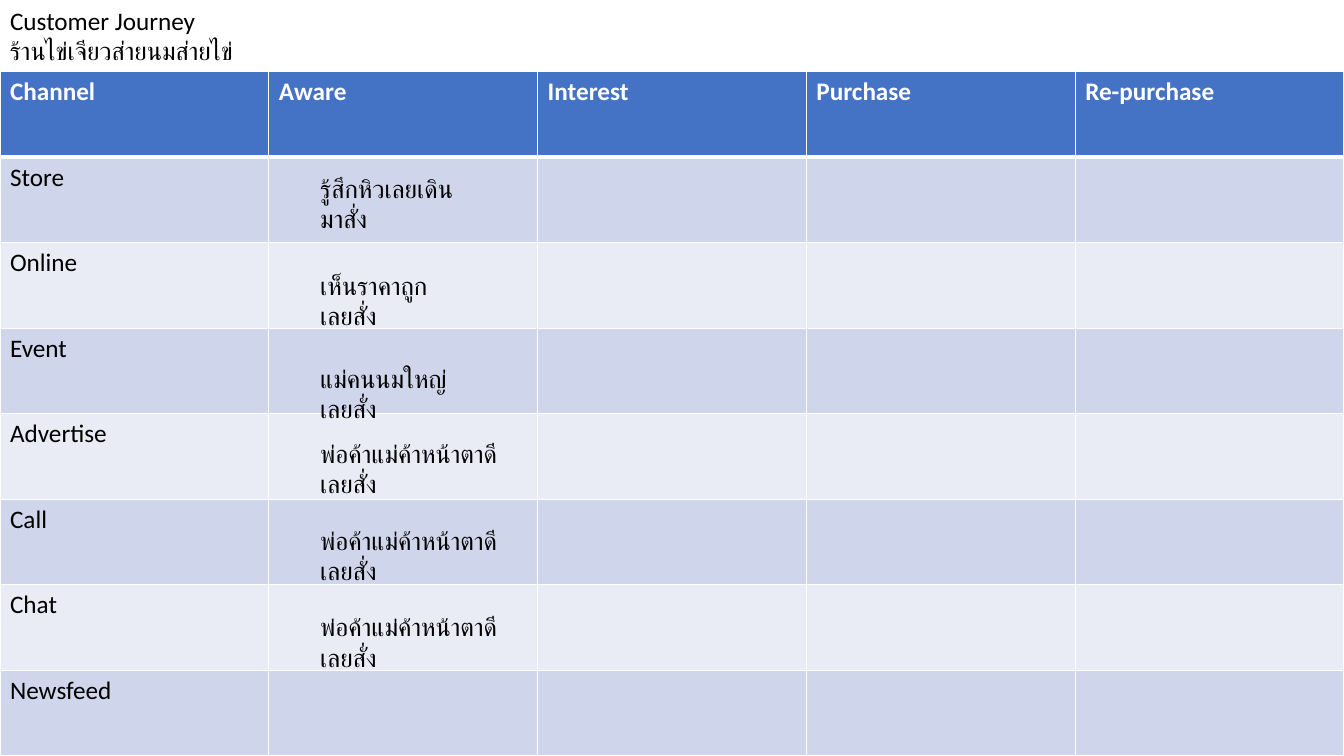
from dataclasses import dataclass

from lxml import etree
from pptx import Presentation
from pptx.dml.color import RGBColor
from pptx.enum.lang import MSO_LANGUAGE_ID
from pptx.enum.text import MSO_ANCHOR, MSO_AUTO_SIZE, PP_ALIGN
from pptx.oxml.ns import qn
from pptx.util import Cm, Pt

THAI, ENGLISH = MSO_LANGUAGE_ID.THAI, MSO_LANGUAGE_ID.ENGLISH_US
LEFT, TOP = PP_ALIGN.LEFT, MSO_ANCHOR.TOP
NO_FIT = MSO_AUTO_SIZE.NONE
TITLE_ONLY = 5


@dataclass(frozen=True)
class Theme:
    font: str = "Calibri"
    size: int = 18
    text: str = "000000"
    header_text: str = "FFFFFF"
    header: str = "4472C4"
    bands: tuple = ("CFD5EA", "E9EBF5")
    border: str = "FFFFFF"
    thin: int = 1
    thick: int = 3


THEME = Theme()
SLIDE_W, SLIDE_H = 33.87, 19.05
TABLE_TOP = 1.8
LINE_H = 1.02
NOTE_LEFT = 7.82

STAGES = ["Channel", "Aware", "Interest", "Purchase", "Re-purchase"]
CHANNELS = ["Store", "Online", "Event", "Advertise", "Call", "Chat", "Newsfeed"]
GOOD_LOOKS = "พ่อค้าแม่ค้าหน้าตาดีเลยสั่ง"
# text, top, width
AWARE_NOTES = [
    ("รู้สึกหิวเลยเดินมาสั่ง", 4.24, 3.99),
    ("เห็นราคาถูกเลยสั่ง", 6.68, 3.71),
    ("แม่คนนมใหญ่เลยสั่ง", 9.02, 4.09),
    (GOOD_LOOKS, 10.92, 5.21),
    (GOOD_LOOKS, 13.11, 5.21),
    (GOOD_LOOKS, 15.29, 5.21),
]


def write(tf, text, color=THEME.text, bold=False, lang=ENGLISH):
    p = tf.paragraphs[0]
    p.alignment = LEFT
    r = p.add_run()
    r.text = text
    r.font.name = THEME.font
    r.font.size = Pt(THEME.size)
    r.font.bold = bold
    r.font.color.rgb = RGBColor.from_string(color)
    r.font.language_id = lang


def add_title(s, text):
    sp = s.shapes.title
    sp.left, sp.top, sp.width, sp.height = Cm(0), Cm(0), Cm(6.4), Cm(LINE_H)
    tf = sp.text_frame
    tf.auto_size = NO_FIT
    tf.vertical_anchor = TOP
    write(tf, text)


def add_thai_text(s, text, left, top, width):
    sp = s.shapes.add_textbox(Cm(left), Cm(top), Cm(width), Cm(LINE_H))
    sp.text_frame.word_wrap = True
    write(sp.text_frame, text, lang=THAI)


def set_borders(cell, top, bottom):
    tc_pr = cell._tc.get_or_add_tcPr()
    widths = {"L": THEME.thin, "R": THEME.thin, "T": top, "B": bottom}
    for side, width in widths.items():
        ln = etree.SubElement(tc_pr, qn(f"a:ln{side}"), w=str(Pt(width)))
        fill = etree.SubElement(ln, qn("a:solidFill"))
        etree.SubElement(fill, qn("a:srgbClr"), val=THEME.border)


def add_journey_table(s):
    rows = [STAGES] + [[name] + [""] * (len(STAGES) - 1) for name in CHANNELS]
    frame = s.shapes.add_table(len(rows), len(STAGES), Cm(0), Cm(TABLE_TOP),
                               Cm(SLIDE_W), Cm(SLIDE_H - TABLE_TOP))
    table = frame.table
    for i, row in enumerate(rows):
        is_header = i == 0
        fill = THEME.header if is_header else THEME.bands[(i - 1) % 2]
        color = THEME.header_text if is_header else THEME.text
        top = THEME.thick if i == 1 else THEME.thin
        bottom = THEME.thick if is_header else THEME.thin
        for j, text in enumerate(row):
            cell = table.cell(i, j)
            set_borders(cell, top, bottom)
            cell.fill.solid()
            cell.fill.fore_color.rgb = RGBColor.from_string(fill)
            if text:
                write(cell.text_frame, text, color=color, bold=is_header)


def main():
    prs = Presentation()
    prs.slide_width, prs.slide_height = Cm(SLIDE_W), Cm(SLIDE_H)
    s = prs.slides.add_slide(prs.slide_layouts[TITLE_ONLY])
    add_title(s, "Customer Journey")
    add_thai_text(s, "ร้านไข่เจียวส่ายนมส่ายไข่", 0, 0.76, 6.4)
    add_journey_table(s)
    for text, top, width in AWARE_NOTES:
        add_thai_text(s, text, NOTE_LEFT, top, width)
    prs.save("out.pptx")


if __name__ == "__main__":
    main()
